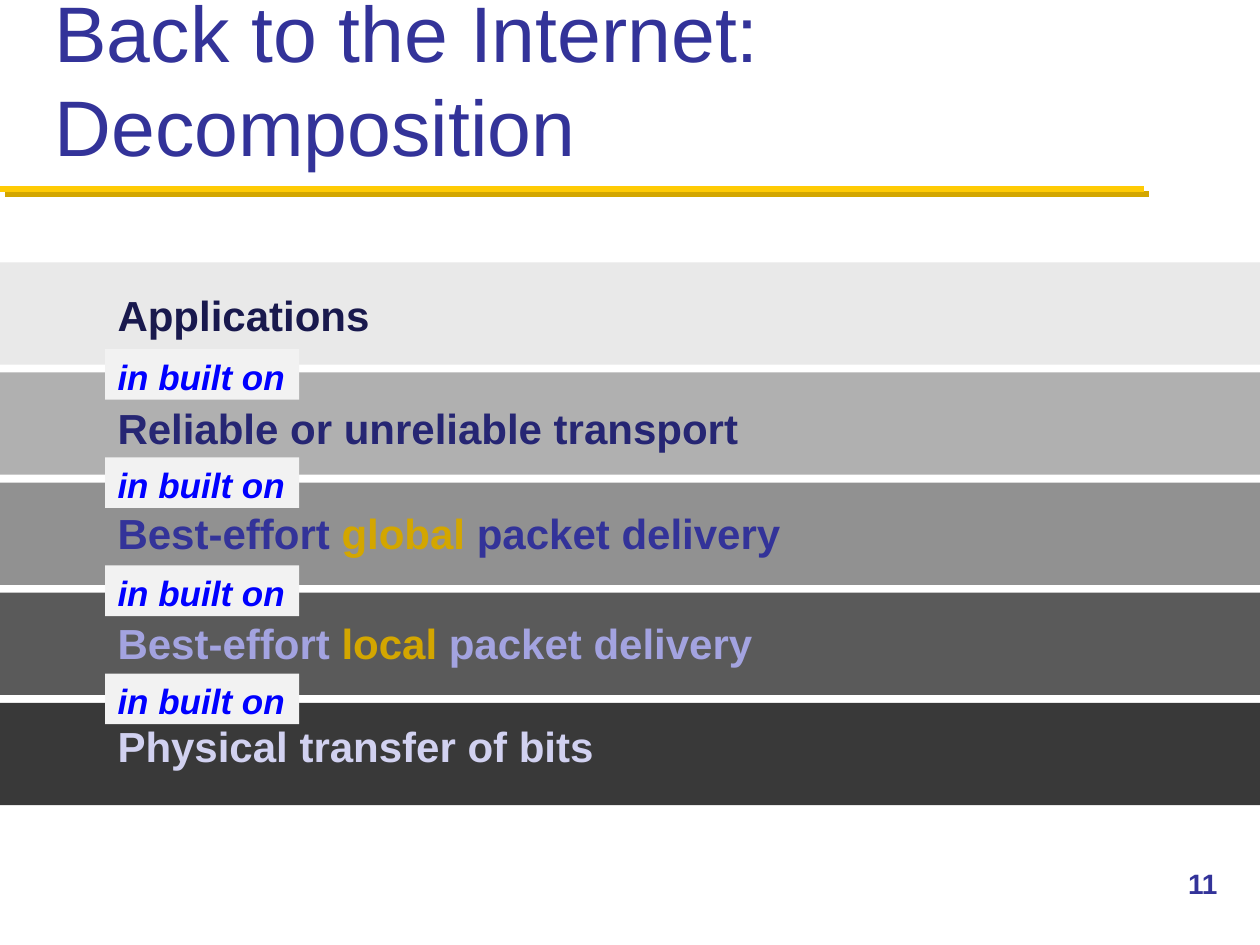
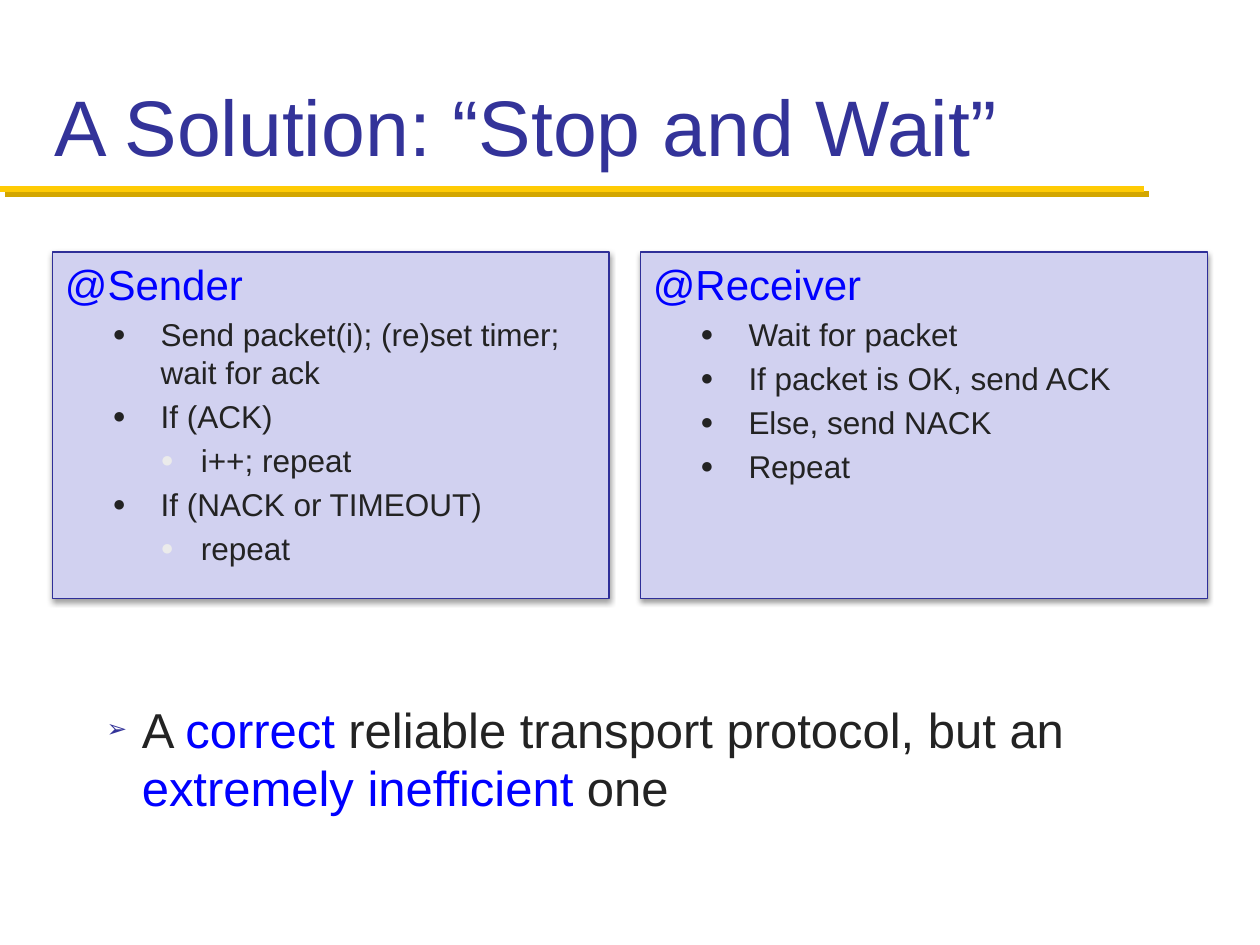
import pptx
import pptx.dml.color
import pptx.enum.shapes
import pptx.enum.text
import pptx.oxml
import pptx.oxml.ns
import pptx.util
from pptx.util import Cm, Pt

NAVY, BLUE, GOLD, INK, LILAC = "333399", "0000FF", "D3A600", "232323", "D1D1F0"
WIDE, HIGH = 25.4, 19.05


def tint(text):
    return pptx.dml.color.RGBColor.from_string(text)


def parse_tag(body):
    return pptx.oxml.parse_xml(body.replace(">", f" {pptx.oxml.ns.nsdecls('a')}>", 1))


def shade(shape, color, alpha, blur, dist, angle):
    shape._element.spPr.append(parse_tag(
        f'<a:effectLst><a:outerShdw blurRad="{Pt(blur)}" dist="{Pt(dist)}" '
        f'dir="{angle * 60000}" algn="ctr" rotWithShape="0"><a:srgbClr val="{color}">'
        f'<a:alpha val="{alpha * 1000}"/></a:srgbClr></a:outerShdw></a:effectLst>'))


def write(para, runs, size, bold=False, slant=False):
    para.alignment = pptx.enum.text.PP_ALIGN.LEFT
    for text, color in runs:
        run = para.add_run()
        run.text = text
        font = run.font
        font.name, font.size, font.bold, font.italic = "Arial", Pt(size), bold, slant
        font.color.rgb = tint(color)


def bullet(para, mark, color, scale, left, hang):
    props = para._p.get_or_add_pPr()
    props.set("marL", str(Cm(left)))
    props.set("indent", str(-Cm(hang)))
    for body in (f'<a:buClr><a:srgbClr val="{color}"/></a:buClr>',
                 f'<a:buSzPct val="{scale * 1000}"/>',
                 '<a:buFont typeface="Arial"/>',
                 f'<a:buChar char="{mark}"/>'):
        props.append(parse_tag(body.replace("/>", " />", 1) if body.startswith("<a:buClr") else
                               body.replace("/>", f"></{body[1:].split()[0]}>")))


def add_text(slide, box, wrap=True, low=False):
    frame = slide.shapes.add_textbox(*map(Cm, box)).text_frame
    frame.word_wrap = wrap
    anchor = pptx.enum.text.MSO_ANCHOR
    frame.vertical_anchor = anchor.BOTTOM if low else anchor.TOP
    return frame


def add_rect(slide, box, fill, line=None):
    kind = pptx.enum.shapes.MSO_SHAPE.RECTANGLE
    rect = slide.shapes.add_shape(kind, *map(Cm, box))
    rect.fill.solid()
    rect.fill.fore_color.rgb = tint(fill)
    if line:
        rect.line.color.rgb = tint(line)
        rect.line.width = Pt(0.75)
    else:
        rect.line.fill.background()
        rect.shadow.inherit = False
    rect.text_frame.vertical_anchor = pptx.enum.text.MSO_ANCHOR.TOP
    return rect


def start(deck, title):
    slide = deck.slides.add_slide(deck.slide_layouts[6])
    kind = pptx.enum.shapes.MSO_CONNECTOR.STRAIGHT
    rule = slide.shapes.add_connector(kind, Cm(0), Cm(3.81), Cm(23.06), Cm(3.81))
    rule.line.color.rgb = tint("FFCB05")
    rule.line.width = Pt(3.5)
    shade(rule, GOLD, 100, 0, 4.2, 45)
    frame = add_text(slide, (0.85, 0.42, 23.7, 3.18), low=True)
    write(frame.paragraphs[0], [(title, NAVY)], 45)
    return slide


def stack(slide, box, layers):
    left, top, width, height = box
    pitch, gap = 2.22, 0.16
    for i, (fill, drop, runs) in enumerate(layers):
        add_rect(slide, (left, top + i * pitch, width, pitch - gap), fill)
        label = (left + 2.12, top + i * pitch + drop, 14, 1.27)
        write(add_text(slide, label, False).paragraphs[0], runs, 24, bold=True)
    for i in range(len(layers) - 1):
        link = add_rect(slide, (left + 2.12, top + 1.75 + i * 2.18, 3.91, 1.02), "F2F2F2")
        link.text_frame.word_wrap = False
        write(link.text_frame.paragraphs[0], [("in built on", BLUE)], 20, True, True)


def panel(slide, box, head, steps):
    rect = add_rect(slide, box, LILAC, "2F2F98")
    shade(rect, "000000", 38, 3.1, 1.6, 90)
    frame = rect.text_frame
    frame.word_wrap = True
    write(frame.paragraphs[0], [(head, BLUE)], 24)
    for level, text in steps:
        para = frame.add_paragraph()
        para.level = level
        para.space_before = Pt(3.6)
        look = (INK, 70, 1.93, 0.97) if level == 1 else ("EBEBEB", 70, 2.74, 0.81)
        bullet(para, "●", *look)
        write(para, [(text, INK)], 18)


def verdict(slide, box):
    para = add_text(slide, box).paragraphs[0]
    bullet(para, "➢", NAVY, 50, 0.71, 0.71)
    write(para, [("A ", INK), ("correct", BLUE),
                 (" reliable transport protocol, but an ", INK),
                 ("extremely inefficient ", BLUE), ("one", INK)], 28)


def layers(deck):
    slide = start(deck, "Back to the Internet: Decomposition")
    number = add_text(slide, (23.7, 17.35, 1.7, 1.27))
    write(number.paragraphs[0], [("11", NAVY)], 16, bold=True)

    def effort(reach, color):
        return [("Best-effort ", color), (reach, GOLD), (" packet delivery", color)]

    stack(slide, (0, 5.29, WIDE, 10.94), [
        ("E9E9E9", 0.43, [("Applications", "19194D")]),
        ("B0B0B0", 0.48, [("Reliable or unreliable transport", "262673")]),
        ("919191", 0.38, effort("global", NAVY)),
        ("5A5A5A", 0.38, effort("local", "A3A3E0")),
        ("393939", 0.23, [("Physical transfer of bits", LILAC)])])


def waiting(deck):
    slide = start(deck, "A Solution: “Stop and Wait”")
    verdict(slide, (1.9, 13.97, 22.44, 2.75))
    panel(slide, (1.06, 5.08, 11.22, 6.99), "@Sender", [
        (1, "Send packet(i); (re)set timer; wait for ack"),
        (1, "If (ACK)"), (2, "i++; repeat"),
        (1, "If (NACK or TIMEOUT)"), (2, "repeat")])
    panel(slide, (12.91, 5.08, 11.43, 6.99), "@Receiver", [
        (1, "Wait for packet"), (1, "If packet is OK, send ACK"),
        (1, "Else, send NACK"), (1, "Repeat")])


def main():
    deck = pptx.Presentation()
    deck.slide_width, deck.slide_height = Cm(WIDE), Cm(HIGH)
    layers(deck)
    waiting(deck)
    deck.save("out.pptx")


if __name__ == "__main__":
    main()
